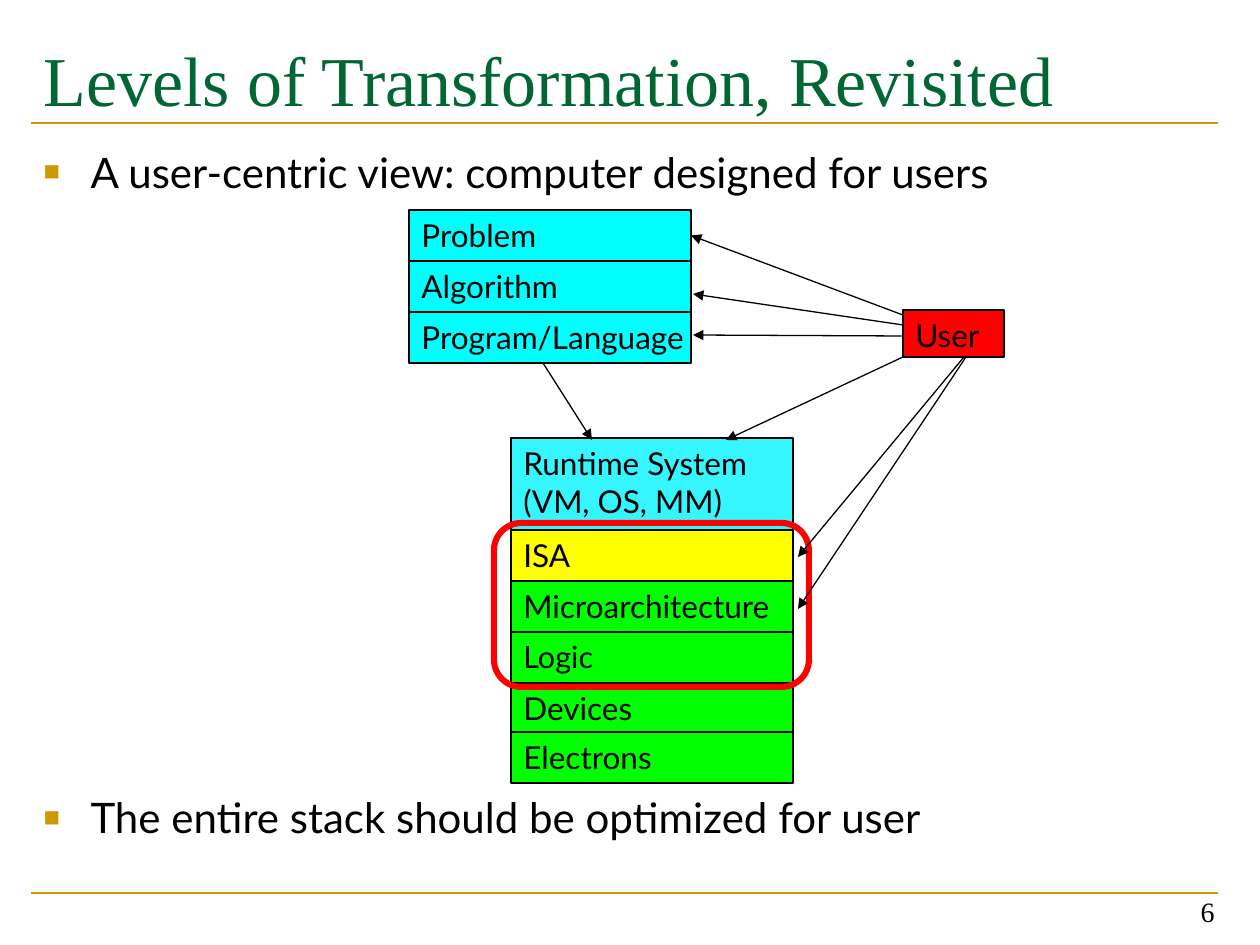
import pptx
import pptx.dml.color
import pptx.enum.shapes
import pptx.enum.text
import pptx.oxml.ns
import pptx.util
from lxml import etree

SCALE = 914400 / 126
GREEN, GOLD, BLACK, RED = "006633", "CC9900", "000000", "FF0000"
SANS, SERIF = "Lato", "Times New Roman"
SHAPE = pptx.enum.shapes.MSO_SHAPE
ALIGN = pptx.enum.text.PP_ALIGN
ANCHOR = pptx.enum.text.MSO_ANCHOR


def px(n):
    return pptx.util.Emu(round(n * SCALE))


def color(code):
    return pptx.dml.color.RGBColor.from_string(code)


def add_xml(parent, tag, **attrs):
    return etree.SubElement(parent, pptx.oxml.ns.qn(tag), attrs)


def place(sp, x, y, w, h):
    sp.left, sp.top, sp.width, sp.height = px(x), px(y), px(w), px(h)


def write(sp, text, size, font, code=BLACK, align=ALIGN.LEFT, anchor=ANCHOR.TOP, wrap=True):
    tf = sp.text_frame
    tf.text = text
    tf.word_wrap = wrap
    tf.auto_size = pptx.enum.text.MSO_AUTO_SIZE.NONE
    tf.vertical_anchor = anchor
    for p in tf.paragraphs:
        p.alignment = align
        for r in p.runs:
            r.font.size = pptx.util.Pt(size)
            r.font.name = font
            r.font.color.rgb = color(code)
    return tf


def set_bullet(p):
    pPr = p._p.get_or_add_pPr()
    pPr.set("marL", str(px(47)))
    pPr.set("indent", str(px(-47)))
    add_xml(add_xml(pPr, "a:buClr"), "a:srgbClr", val=GOLD)
    add_xml(pPr, "a:buSzPct", val="65000")
    add_xml(pPr, "a:buChar", char="■")


def add_box(s, text, x, y, w, h, fill, size=18):
    sp = s.shapes.add_shape(SHAPE.RECTANGLE, px(x), px(y), px(w), px(h))
    sp.shadow.inherit = False
    sp.fill.solid()
    sp.fill.fore_color.rgb = color(fill)
    sp.line.color.rgb = color(BLACK)
    sp.line.width = pptx.util.Pt(0.75)
    write(sp, text, size, SANS, wrap=False)
    return sp


def add_stack(s, x, y, rows):
    """Stack touching boxes downwards; a row is text, height, fill and an optional size."""
    boxes = []
    for text, h, *look in rows:
        boxes.append(add_box(s, text, x, y, 282, h, *look))
        y += h
    return boxes


def add_frame(s, x, y, w, h):
    sp = s.shapes.add_shape(SHAPE.ROUNDED_RECTANGLE, px(x), px(y), px(w), px(h))
    sp.shadow.inherit = False
    sp.fill.background()
    sp.line.color.rgb = color(RED)
    sp.line.width = pptx.util.Pt(3.5)


def add_line(s, start, end, code=BLACK, width=0.75, arrow=True):
    c = s.shapes.add_connector(pptx.enum.shapes.MSO_CONNECTOR.STRAIGHT,
                               *map(px, start + end))
    c.line.color.rgb = color(code)
    c.line.width = pptx.util.Pt(width)
    spPr = c.element.spPr
    if arrow:
        add_xml(spPr.find(pptx.oxml.ns.qn("a:ln")), "a:tailEnd", type="triangle")
    add_xml(spPr, "a:effectLst")
    return c


def add_text(s):
    title, body = s.placeholders
    place(title, 31, 30, 1187, 100)
    write(title, "Levels of Transformation, Revisited", 40, SERIF, GREEN)

    place(body, 31, 140, 1187, 720)
    body.text_frame.text = ""
    tf = write(body, "A user-centric view: computer designed for users\n"
                     "The entire stack should be optimized for user", 24, SANS)
    for p, gap in zip(tf.paragraphs, (0, 340)):
        p.space_before = pptx.util.Pt(gap)
        set_bullet(p)

    number = s.shapes.add_textbox(px(934), px(871), px(293), px(63))
    write(number, "6", 16, SERIF, align=ALIGN.RIGHT, anchor=ANCHOR.BOTTOM)


def add_diagram(s):
    cyan, green = "00FFFF", "00FF00"
    problem, *_ = add_stack(s, 409, 210, [
        ("Problem", 51, cyan),
        ("Algorithm", 51, cyan),
        ("Program/Language", 51, cyan),
    ])
    add_stack(s, 511, 438, [
        ("Runtime System\n(VM, OS, MM)", 92, "35F6FF"),
        ("ISA", 51, "FFFF00"),
        ("Microarchitecture", 51, green),
        ("Logic", 51, green, 17.5),
        ("Devices", 49, green),
        ("Electrons", 51, green),
    ])
    add_box(s, "User", 903, 310, 101, 47, RED)
    add_frame(s, 494, 523, 315, 164)

    to_problem = add_line(s, (903, 315), (691, 236))
    to_problem.end_connect(problem, 3)
    for start, end in [
        ((903, 325), (693, 294)),
        ((903, 336), (693, 335)),
        ((903, 357), (726, 440)),
        ((964, 357), (798, 557)),
        ((966, 357), (798, 609)),
        ((543, 363), (592, 440)),
    ]:
        add_line(s, start, end)


def main():
    prs = pptx.Presentation()
    prs.slide_width, prs.slide_height = px(1260), px(945)
    s = prs.slides.add_slide(prs.slide_layouts[1])
    for y in (123, 893):
        add_line(s, (31, y), (1218, y), GOLD, 1.5, arrow=False)
    add_text(s)
    add_diagram(s)
    prs.save("out.pptx")


if __name__ == "__main__":
    main()
